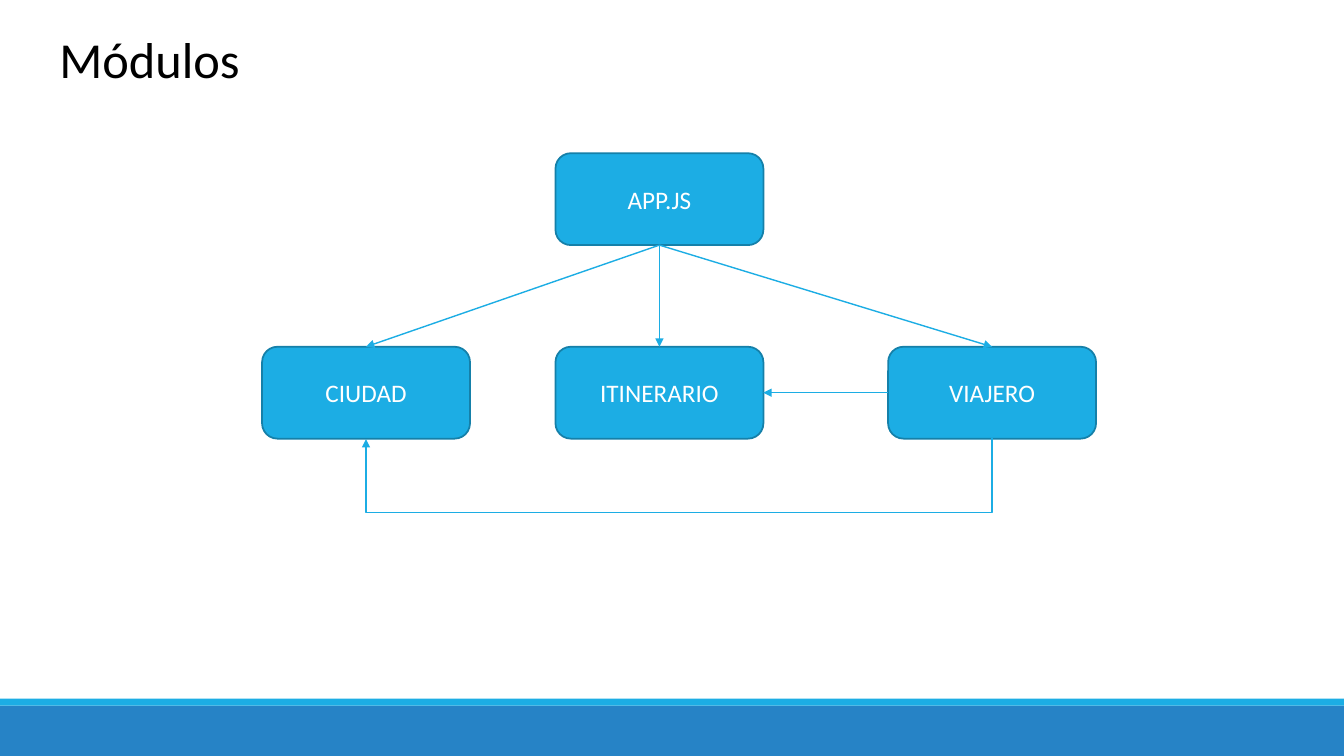
from dataclasses import dataclass

from lxml import etree
from pptx import Presentation
from pptx.dml.color import RGBColor
from pptx.enum.shapes import MSO_CONNECTOR, MSO_SHAPE
from pptx.enum.text import MSO_ANCHOR, PP_ALIGN
from pptx.oxml.ns import qn
from pptx.util import Inches, Pt

RECTANGLE = MSO_SHAPE.RECTANGLE
ROUNDED = MSO_SHAPE.ROUNDED_RECTANGLE
STRAIGHT = MSO_CONNECTOR.STRAIGHT
ELBOW = MSO_CONNECTOR.ELBOW
MIDDLE = MSO_ANCHOR.MIDDLE
CENTER = PP_ALIGN.CENTER

COLORS = {"sky": "1CADE4", "edge": "1580A9", "blue": "2683C6",
          "white": "FFFFFF", "black": "000000"}
FONT = "Calibri"
PAGE_WIDTH, PAGE_HEIGHT = Inches(13.333), Inches(7.5)

# Module grid, in percent of the page
COLUMNS = (19.5, 41.33, 66.08)
ROWS = (20.27, 45.87)
MODULE_WIDTH, MODULE_HEIGHT = 15.47, 12.15
RETURN_DROP = 10  # depth of the path running below the modules

# Connection sites of a rounded rectangle
TOP, LEFT, BOTTOM, RIGHT = range(4)


@dataclass(frozen=True)
class Module:
    label: str
    column: int
    row: int


@dataclass(frozen=True)
class Arrow:
    source: str
    source_site: int
    target: str
    target_site: int


@dataclass(frozen=True)
class Band:
    top: float
    height: float
    color: str


BANDS = (Band(93.33, 6.67, "blue"), Band(92.4, 0.93, "sky"))
MODULES = (Module("APP.JS", 1, 0), Module("VIAJERO", 2, 1),
           Module("ITINERARIO", 1, 1), Module("CIUDAD", 0, 1))
ARROWS = (Arrow("APP.JS", BOTTOM, "CIUDAD", TOP),
          Arrow("APP.JS", BOTTOM, "ITINERARIO", TOP),
          Arrow("APP.JS", BOTTOM, "VIAJERO", TOP),
          Arrow("VIAJERO", LEFT, "ITINERARIO", RIGHT))


def across(percent: float) -> int:
    return round(PAGE_WIDTH * percent / 100)


def down(percent: float) -> int:
    return round(PAGE_HEIGHT * percent / 100)


def color(name: str) -> RGBColor:
    return RGBColor.from_string(COLORS[name])


def write(box, text: str, size: int, color_name: str):
    box.text_frame.word_wrap = True
    para = box.text_frame.paragraphs[0]
    para.text = text
    para.font.name = FONT
    para.font.size = Pt(size)
    para.font.color.rgb = color(color_name)
    return para


def draw_band(page, band: Band) -> None:
    box = page.shapes.add_shape(RECTANGLE, 0, down(band.top), PAGE_WIDTH, down(band.height))
    box.shadow.inherit = False
    box.fill.solid()
    box.fill.fore_color.rgb = color(band.color)
    box.line.fill.background()


def draw_module(page, module: Module):
    box = page.shapes.add_shape(ROUNDED, across(COLUMNS[module.column]), down(ROWS[module.row]),
                                across(MODULE_WIDTH), down(MODULE_HEIGHT))
    box.shadow.inherit = False
    box.fill.solid()
    box.fill.fore_color.rgb = color("sky")
    box.line.color.rgb = color("edge")
    box.line.width = Pt(1.25)
    box.text_frame.vertical_anchor = MIDDLE
    write(box, module.label, 18, "white").alignment = CENTER
    return box


def style_arrow(connector) -> None:
    connector.line.color.rgb = color("sky")
    connector.line.width = Pt(1)
    line = connector.line._get_or_add_ln()
    etree.SubElement(line, qn("a:tailEnd"), type="triangle")
    etree.SubElement(connector._element.spPr, qn("a:effectLst"))


def draw_arrow(page, arrow: Arrow, boxes: dict) -> None:
    connector = page.shapes.add_connector(STRAIGHT, 0, 0, 0, 0)
    connector.begin_connect(boxes[arrow.source], arrow.source_site)
    connector.end_connect(boxes[arrow.target], arrow.target_site)
    style_arrow(connector)


def draw_return_path(page, source, target) -> None:
    """Elbow from the bottom of source to the bottom of target, turned a quarter."""
    source_x = source.left + source.width // 2
    target_x = target.left + target.width // 2
    bottom = source.top + source.height
    span, thickness = source_x - target_x, Inches(0.01)
    left = (source_x + target_x - thickness) // 2
    top = bottom - span // 2
    connector = page.shapes.add_connector(ELBOW, left, top, left + thickness, top + span)
    properties = connector._element.spPr
    properties.find(qn("a:xfrm")).set("rot", str(90 * 60000))
    guides = properties.find(qn("a:prstGeom")).find(qn("a:avLst"))
    bend = round(down(RETURN_DROP) / thickness * 100000)
    etree.SubElement(guides, qn("a:gd"), name="adj1", fmla=f"val {bend}")
    style_arrow(connector)


def main() -> None:
    deck = Presentation()
    deck.slide_width, deck.slide_height = PAGE_WIDTH, PAGE_HEIGHT
    page = deck.slides.add_slide(deck.slide_layouts[6])

    # Footer bands
    for band in BANDS:
        draw_band(page, band)

    # Modules and title
    boxes = {module.label: draw_module(page, module) for module in MODULES}
    title = page.shapes.add_textbox(across(3.68), down(3.07), across(70.5), down(10.8))
    write(title, "Módulos", 36, "black")

    # Dependencies
    for arrow in ARROWS:
        draw_arrow(page, arrow, boxes)
    draw_return_path(page, boxes["VIAJERO"], boxes["CIUDAD"])

    deck.save("out.pptx")


if __name__ == "__main__":
    main()
